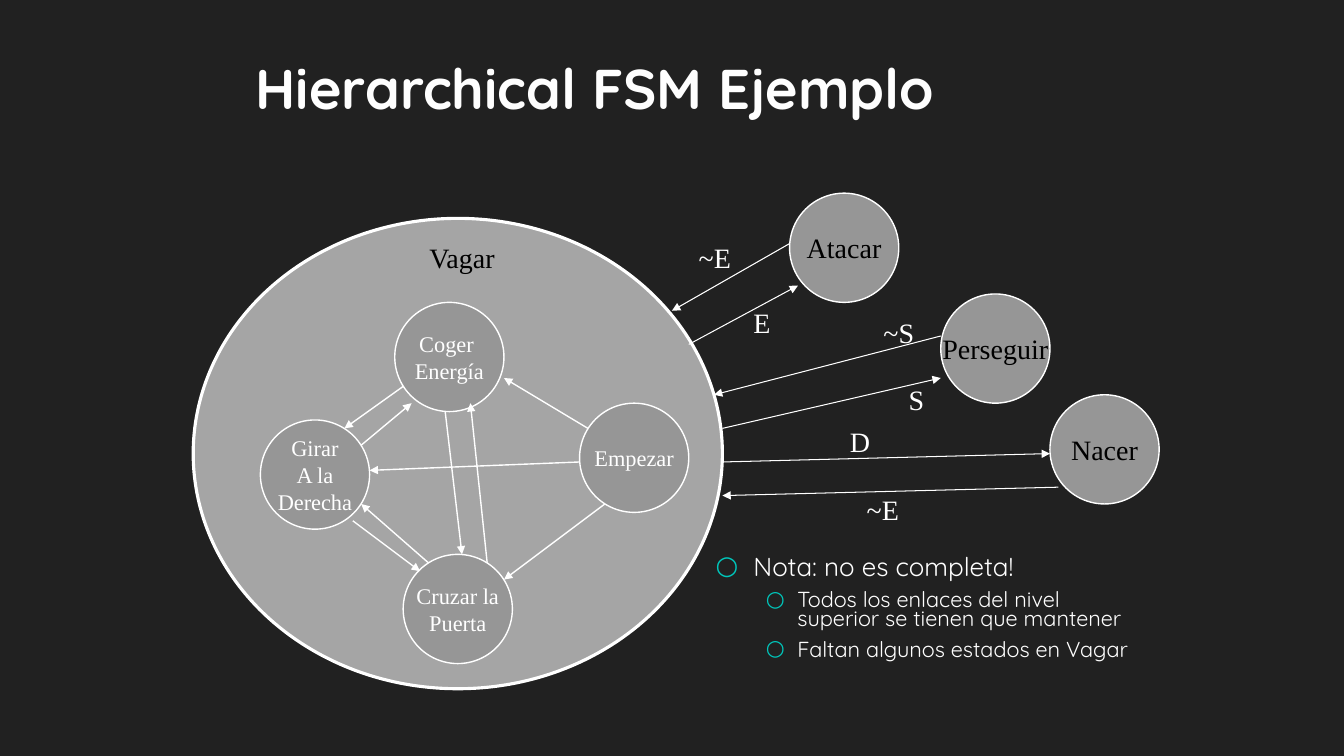
from lxml.etree import SubElement
from pptx import Presentation
from pptx.dml.color import RGBColor
from pptx.enum.shapes import MSO_CONNECTOR, MSO_SHAPE
from pptx.enum.text import MSO_ANCHOR, MSO_AUTO_SIZE, PP_ALIGN
from pptx.oxml import parse_xml
from pptx.oxml.ns import nsdecls, qn
from pptx.util import Pt

BACKGROUND = RGBColor(0x21, 0x21, 0x21)
TITLE_WHITE = RGBColor(0xFE, 0xFE, 0xFE)
WHITE = RGBColor(0xFF, 0xFF, 0xFF)
BLACK = RGBColor(0x00, 0x00, 0x00)
SUPERSTATE_GRAY = RGBColor(0xA5, 0xA5, 0xA5)
STATE_GRAY = RGBColor(0x96, 0x96, 0x96)
BULLET_TEAL = RGBColor(0x00, 0xC6, 0xBB)

SANS = "Quicksand"
SERIF = "Times New Roman"
STATE_SIZE = 78
LABEL_HEIGHT = 31

INNER_STATES = [
    ("Empezar", 414, 288),
    ("Girar\nA la\nDerecha", 186, 300),
    ("Cruzar la\nPuerta", 288, 396),
    ("Coger \nEnergía", 282, 216),
]
INNER_TRANSITIONS = [
    (432, 360, 360, 414),
    (420, 306, 360, 270),
    (414, 330, 264, 336),
    (318, 294, 330, 396),
    (288, 276, 246, 306),
    (252, 372, 300, 408),
    (258, 318, 294, 288),
    (306, 402, 258, 360),
    (348, 402, 336, 288),
]
OUTER_STATES = [
    ("Atacar", 564, 138),
    ("Perseguir", 672, 210),
    ("Nacer", 750, 282),
]
OUTER_TRANSITIONS = [
    (564, 174, 480, 222),
    (492, 246, 570, 204),
    (672, 240, 510, 282),
    (516, 306, 672, 270),
    (516, 330, 750, 324),
    (756, 348, 516, 354),
]
EVENTS = [
    ("~E", 492, 168, 37.5),
    ("E", 531, 214.5, 26.5),
    ("~S", 624, 222, 36.5),
    ("S", 642, 270, 26),
    ("D", 600, 300, 29),
    ("~E", 612, 348, 37.5),
]
NOTES = [
    ("Nota: no es completa!", 0),
    ("Todos los enlaces del nivel superior se tienen que mantener", 1),
    ("Faltan algunos estados en Vagar", 1),
]
NOTE_STYLES = [(18.6, 27, 27), (15.5, 58.5, 22.5)]


def write(frame, text, size=20, font=SERIF, color=WHITE, bold=False,
          align=PP_ALIGN.LEFT, anchor=MSO_ANCHOR.TOP, wrap=False):
    frame.word_wrap = wrap
    frame.auto_size = MSO_AUTO_SIZE.NONE
    frame.vertical_anchor = anchor
    frame.text = text
    for paragraph in frame.paragraphs:
        paragraph.alignment = align
        for run in paragraph.runs:
            run.font.size = Pt(size)
            run.font.name = font
            run.font.bold = bold
            run.font.color.rgb = color


def add_title(slide, text):
    title = slide.shapes.title
    title.left, title.top, title.width, title.height = Pt(175.5), Pt(21.5), Pt(696), Pt(68.5)
    write(title.text_frame, text, size=40, font=SANS, color=TITLE_WHITE,
          bold=True, anchor=MSO_ANCHOR.BOTTOM, wrap=True)
    shadow = parse_xml(
        f'<a:effectLst {nsdecls("a")}><a:outerShdw blurRad="38100" dist="38100" dir="2700000">'
        '<a:srgbClr val="000000"><a:alpha val="43000"/></a:srgbClr>'
        '</a:outerShdw></a:effectLst>')
    run = title.text_frame.paragraphs[0].runs[0]
    run.font.fill._xPr.find(qn("a:solidFill")).addnext(shadow)


def add_ellipse(slide, left, top, width, height, fill, line_width):
    ellipse = slide.shapes.add_shape(MSO_SHAPE.OVAL, Pt(left), Pt(top), Pt(width), Pt(height))
    ellipse.shadow.inherit = False
    ellipse.fill.solid()
    ellipse.fill.fore_color.rgb = fill
    ellipse.line.color.rgb = WHITE
    ellipse.line.width = Pt(line_width)
    return ellipse


def add_state(slide, name, left, top, size, color):
    state = add_ellipse(slide, left, top, STATE_SIZE, STATE_SIZE, STATE_GRAY, 1)
    write(state.text_frame, name, size=size, color=color,
          align=PP_ALIGN.CENTER, anchor=MSO_ANCHOR.MIDDLE)


def add_transition(slide, x1, y1, x2, y2, width):
    arrow = slide.shapes.add_connector(
        MSO_CONNECTOR.STRAIGHT, Pt(x1), Pt(y1), Pt(x2), Pt(y2))
    arrow.line.color.rgb = WHITE
    arrow.line.width = Pt(width)
    SubElement(arrow.line._get_or_add_ln(), qn("a:tailEnd"), type="triangle")
    SubElement(arrow._element.spPr, qn("a:effectLst"))


def add_label(slide, text, left, top, width, height=LABEL_HEIGHT, **style):
    label = slide.shapes.add_textbox(Pt(left), Pt(top), Pt(width), Pt(height))
    write(label.text_frame, text, **style)
    return label


def add_notes(slide):
    notes = add_label(slide, "\n".join(text for text, _ in NOTES), 504, 378, 317.5, 115,
                      font=SANS, anchor=MSO_ANCHOR.MIDDLE, wrap=True)
    for paragraph, (_, level) in zip(notes.text_frame.paragraphs, NOTES):
        size, margin, hanging = NOTE_STYLES[level]
        paragraph.level = level
        paragraph.line_spacing = 0.7
        paragraph.space_before = Pt(round(size * 0.2, 1))
        paragraph.space_after = Pt(6)
        paragraph.runs[0].font.size = Pt(size)
        properties = paragraph._p.get_or_add_pPr()
        properties.set("marL", str(Pt(margin)))
        properties.set("indent", str(-Pt(hanging)))
        bullet_color = SubElement(properties, qn("a:buClr"))
        SubElement(bullet_color, qn("a:srgbClr"), val=str(BULLET_TEAL))
        SubElement(properties, qn("a:buFont"), typeface=SANS)
        SubElement(properties, qn("a:buChar"), char="○")


def main():
    deck = Presentation()
    deck.slide_width, deck.slide_height = Pt(960), Pt(540)
    slide = deck.slides.add_slide(deck.slide_layouts[5])
    slide.background.fill.solid()
    slide.background.fill.fore_color.rgb = BACKGROUND

    add_title(slide, "Hierarchical FSM Ejemplo")
    add_notes(slide)
    add_ellipse(slide, 138, 156, 378, 336, SUPERSTATE_GRAY, 2.25)
    for name, left, top in INNER_STATES:
        add_state(slide, name, left, top, 16, WHITE)
    for ends in INNER_TRANSITIONS:
        add_transition(slide, *ends, width=1)
    add_label(slide, "Vagar", 264, 168, 132, color=BLACK, align=PP_ALIGN.CENTER, wrap=True)
    for name, left, top in OUTER_STATES:
        add_state(slide, name, left, top, 20, BLACK)
    for ends in OUTER_TRANSITIONS:
        add_transition(slide, *ends, width=0.75)
    for event in EVENTS:
        add_label(slide, *event)

    deck.save("out.pptx")


if __name__ == "__main__":
    main()
